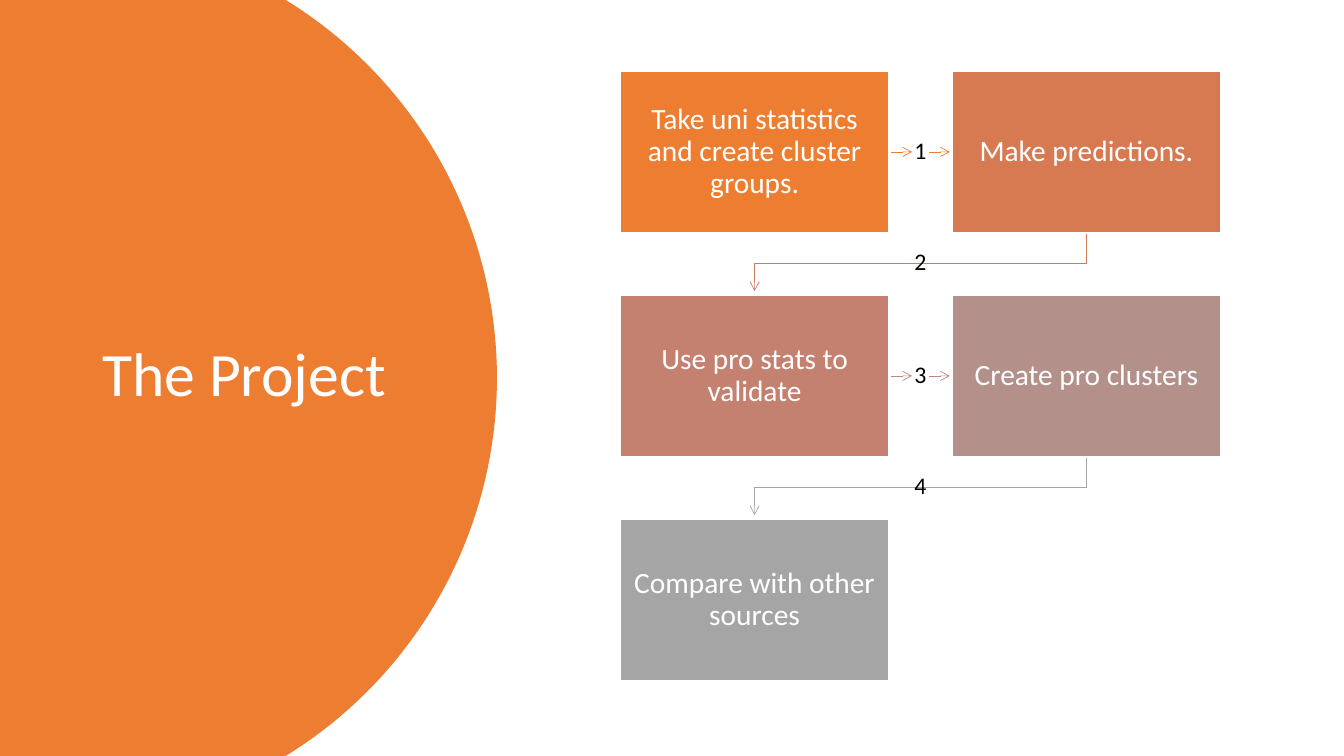
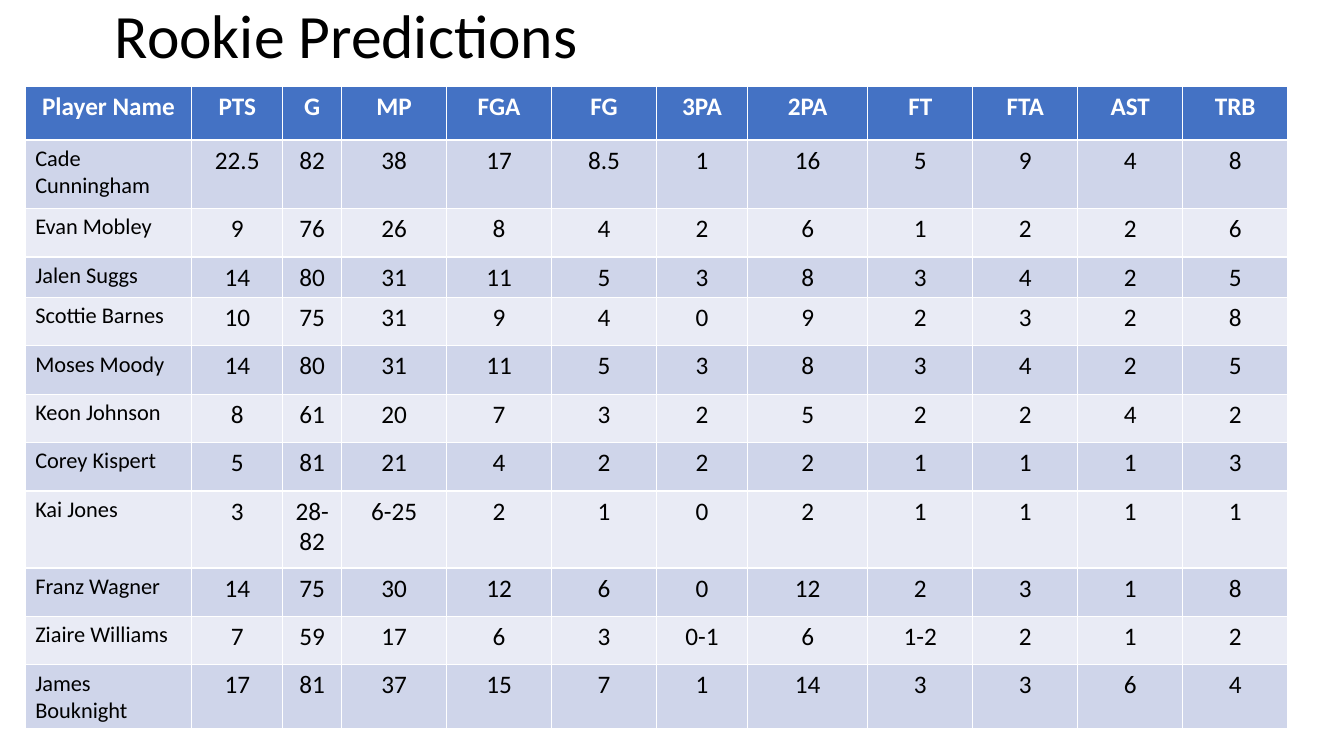
from dataclasses import dataclass
from math import asin, cos, sin

from lxml.etree import SubElement
from pptx import Presentation
from pptx.dml.color import RGBColor
from pptx.enum.shapes import MSO_CONNECTOR, MSO_SHAPE
from pptx.enum.text import MSO_ANCHOR, PP_ALIGN
from pptx.oxml.ns import qn
from pptx.util import Pt


@dataclass(frozen=True)
class Theme:
    font: str = "Calibri"
    title_size: float = 44
    step_size: float = 21
    number_size: float = 17
    stat_size: float = 18
    player_size: float = 16
    accent: str = "ED7D31"
    white: str = "FFFFFF"
    black: str = "000000"
    header: str = "4472C4"
    bands: tuple = ("CFD5EA", "E9EBF5")
    steps: tuple = ("ED7D31", "D87A51", "C48170", "B4908B", "A5A5A5")
    arrows: tuple = ("ED7D31", "D17B5C", "B98A82", "A5A5A5")


THEME = Theme()
SLIDE_W, SLIDE_H = 960, 540

STEPS = ["Take uni statistics and create cluster groups.", "Make predictions.",
         "Use pro stats to validate", "Create pro clusters",
         "Compare with other sources"]

HEADINGS = "Player Name,PTS,G,MP,FGA,FG,3PA,2PA,FT,FTA,AST,TRB".split(",")
COLUMN_WIDTHS = [119, 65, 42, 75, 75, 75, 65, 86, 75, 75, 75, 75]
HEADER_HEIGHT = 38
PLAYERS = [
    (49, "Cade Cunningham", "22.5 82 38 17 8.5 1 16 5 9 4 8"),
    (34.6, "Evan Mobley", "9 76 26 8 4 2 6 1 2 2 6"),
    (26, "Jalen Suggs", "14 80 31 11 5 3 8 3 4 2 5"),
    (34.6, "Scottie Barnes", "10 75 31 9 4 0 9 2 3 2 8"),
    (34.6, "Moses Moody", "14 80 31 11 5 3 8 3 4 2 5"),
    (34.6, "Keon Johnson", "8 61 20 7 3 2 5 2 2 4 2"),
    (34.6, "Corey Kispert", "5 81 21 4 2 2 2 1 1 1 3"),
    (55, "Kai Jones", "3 28-82 6-25 2 1 0 2 1 1 1 1"),
    (34.6, "Franz Wagner", "14 75 30 12 6 0 12 2 3 1 8"),
    (34.6, "Ziaire Williams", "7 59 17 6 3 0-1 6 1-2 2 1 2"),
    (40, "James Bouknight", "17 81 37 15 7 1 14 3 3 6 4"),
]


def assign(target, **values):
    for attribute, value in values.items():
        setattr(target, attribute, value)


def paint(fill, color):
    fill.solid()
    fill.fore_color.rgb = RGBColor.from_string(color)


def write(frame, words, size, color, bold=False, align=PP_ALIGN.LEFT, spacing=0.9):
    paragraph = frame.paragraphs[0]
    assign(paragraph, alignment=align, line_spacing=spacing)
    run = paragraph.add_run()
    run.text = words
    assign(run.font, name=THEME.font, size=Pt(size), bold=bold)
    run.font.color.rgb = RGBColor.from_string(color)


def set_frame(frame, side, end):
    assign(frame, word_wrap=True, vertical_anchor=MSO_ANCHOR.MIDDLE,
           margin_left=Pt(side), margin_right=Pt(side),
           margin_top=Pt(end), margin_bottom=Pt(end))


def add_label(slide, box, words, size, color, align=PP_ALIGN.LEFT, side=7.2, end=3.6):
    frame = slide.shapes.add_textbox(*map(Pt, box)).text_frame
    set_frame(frame, side, end)
    write(frame, words, size, color, align=align)


def add_title(slide, box, words, color):
    add_label(slide, box, words, THEME.title_size, color)


def add_outline(slide, points, close):
    start, *rest = [(Pt(x), Pt(y)) for x, y in points]
    builder = slide.shapes.build_freeform(*start)
    builder.add_line_segments(rest, close=close)
    outline = builder.convert_to_shape()
    outline.shadow.inherit = False
    return outline


def style_arrow(arrow, color):
    arrow.line.width = Pt(0.5)
    paint(arrow.line.fill, color)
    SubElement(arrow.line._get_or_add_ln(), qn("a:tailEnd"), type="arrow")


def add_straight_arrow(slide, start_x, end_x, y, color):
    arrow = slide.shapes.add_connector(
        MSO_CONNECTOR.STRAIGHT, Pt(start_x), Pt(y), Pt(end_x), Pt(y))
    style_arrow(arrow, color)
    SubElement(arrow._element.spPr, qn("a:effectLst"))


def add_elbow_arrow(slide, points, color):
    arrow = add_outline(slide, points, close=False)
    arrow.fill.background()
    style_arrow(arrow, color)


def add_title_disc(slide, box, words):
    """Circle cut off by the left, top and bottom edges of its box."""
    left, top, width, height = box
    radius = 317
    center_x, center_y = left + width - radius, top + height / 2
    limit = asin(height / 2 / radius)
    segments = 80
    angles = [limit * (2 * i / segments - 1) for i in range(segments + 1)]
    arc = [(center_x + radius * cos(a), center_y + radius * sin(a)) for a in angles]
    disc = add_outline(slide, [(left, top), *arc, (left, top + height)], close=True)
    paint(disc.fill, THEME.accent)
    disc.line.fill.background()
    add_title(slide, (left + 66, top + 50, 233, height - 102), words, THEME.white)


def add_step(slide, box, words, color):
    step = slide.shapes.add_shape(MSO_SHAPE.RECTANGLE, *map(Pt, box))
    step.shadow.inherit = False
    paint(step.fill, color)
    paint(step.line.fill, THEME.white)
    step.line.width = Pt(1)
    set_frame(step.text_frame, 9.4, 10)
    write(step.text_frame, words, THEME.step_size, THEME.white, align=PP_ALIGN.CENTER)


def add_step_flow(slide, box, steps):
    """Two-column snake of steps, joined by numbered arrows."""
    left, top, width, height = box
    step_w, step_h = 192, 115
    rows = (len(steps) + 1) // 2
    pitch_x = width - step_w
    pitch_y = (height - step_h) / (rows - 1)
    gap_x, gap_y = pitch_x - step_w, pitch_y - step_h
    number_w, number_h = 12, 20
    middle_x = left + width / 2

    for index, (words, color) in enumerate(zip(steps, THEME.steps)):
        row, column = divmod(index, 2)
        step_top = top + row * pitch_y
        add_step(slide, (left + column * pitch_x, step_top, step_w, step_h), words, color)

    for index, color in enumerate(THEME.arrows[:len(steps) - 1]):
        row, column = divmod(index, 2)
        step_top = top + row * pitch_y
        if column == 0:
            # Across to the next column, on both sides of the number
            number_y = step_top + step_h / 2
            reach, clear = gap_x / 2 - 1.5, number_w / 2
            for start, end in ((-reach, -clear), (clear, reach)):
                add_straight_arrow(slide, middle_x + start, middle_x + end, number_y, color)
        else:
            # Down and back to the first column
            bottom = step_top + step_h
            number_y = bottom + gap_y / 2
            from_x, to_x = left + pitch_x + step_w / 2, left + step_w / 2
            add_elbow_arrow(slide, [(from_x, bottom + 1), (from_x, number_y),
                                    (to_x, number_y), (to_x, bottom + gap_y - 3)], color)
            number_y -= 1
        add_label(slide, (middle_x - number_w / 2, number_y - number_h / 2, number_w, number_h),
                  str(index + 1), THEME.number_size, THEME.black,
                  align=PP_ALIGN.CENTER, side=0.5, end=0)


def add_stats_table(slide, left, top):
    heights = [HEADER_HEIGHT] + [height for height, _, _ in PLAYERS]
    lines = [HEADINGS] + [[name, *stats.split()] for _, name, stats in PLAYERS]
    table = slide.shapes.add_table(
        len(lines), len(HEADINGS), Pt(left), Pt(top),
        Pt(sum(COLUMN_WIDTHS)), Pt(sum(heights))).table
    for column, width in zip(table.columns, COLUMN_WIDTHS):
        column.width = Pt(width)
    for row, height in zip(table.rows, heights):
        row.height = Pt(height)

    for row, values in enumerate(lines):
        is_header = row == 0
        background = THEME.header if is_header else THEME.bands[(row - 1) % 2]
        for column, value in enumerate(values):
            cell = table.cell(row, column)
            is_player = column == 0 and not is_header
            paint(cell.fill, background)
            write(cell.text_frame, value,
                  THEME.player_size if is_player else THEME.stat_size,
                  THEME.white if is_header else THEME.black, bold=is_header,
                  align=PP_ALIGN.LEFT if is_player else PP_ALIGN.CENTER, spacing=1.0)


def build_project_slide(slide):
    add_title_disc(slide, (0, 0, 355, SLIDE_H), "The Project")
    add_step_flow(slide, (443, 51, 429, 435), STEPS)


def build_predictions_slide(slide):
    add_title(slide, (75, 0, 828, 55), "Rookie Predictions", THEME.black)
    add_stats_table(slide, 18, 62)


def main():
    deck = Presentation()
    assign(deck, slide_width=Pt(SLIDE_W), slide_height=Pt(SLIDE_H))
    blank = deck.slide_layouts[6]
    for build in (build_project_slide, build_predictions_slide):
        build(deck.slides.add_slide(blank))
    deck.save("out.pptx")


if __name__ == "__main__":
    main()
